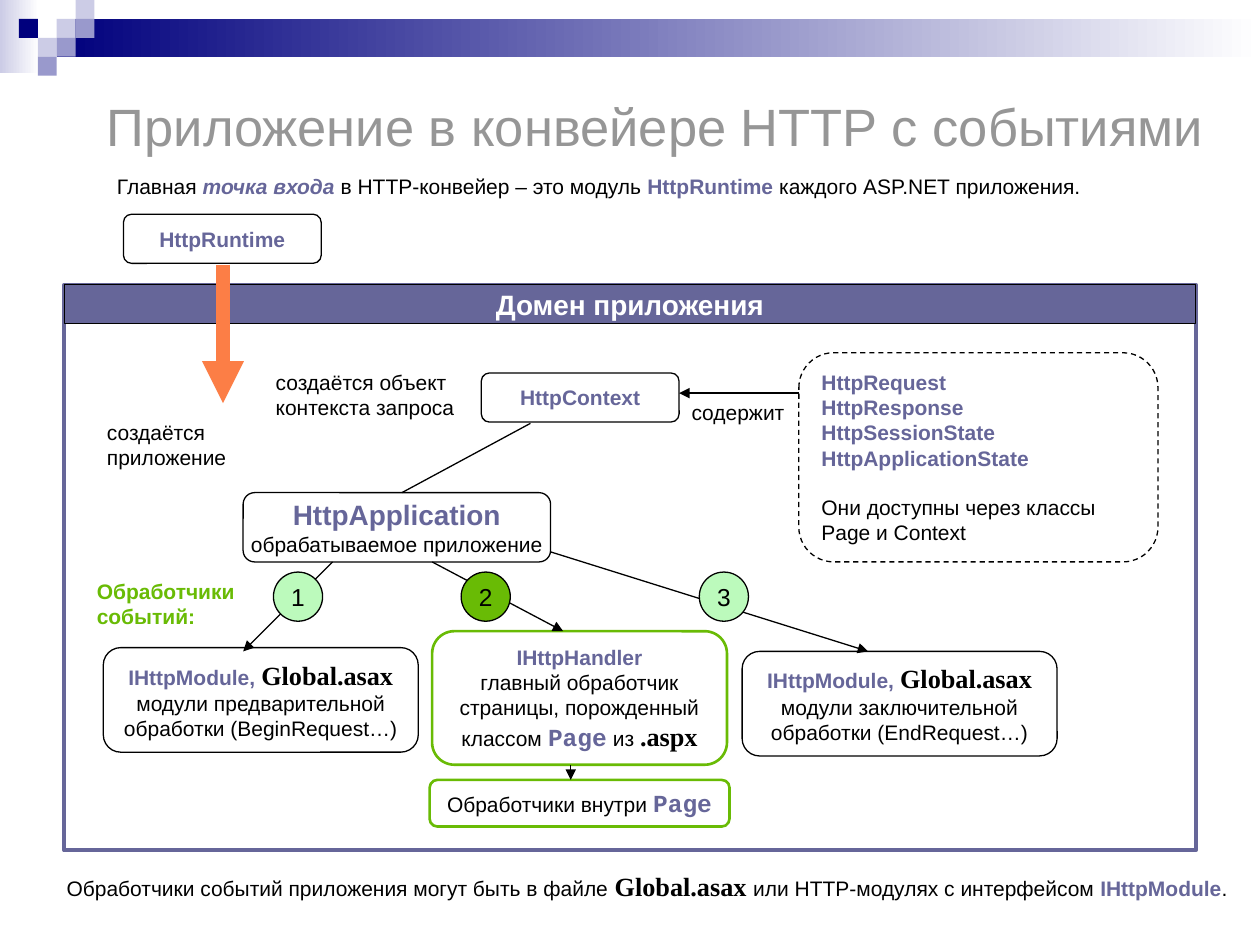
import pptx
import pptx.util
import pptx.dml.color
import pptx.enum.dml
import pptx.enum.shapes
import pptx.enum.text
import pptx.oxml.ns
from lxml import etree

Inches = pptx.util.Inches
Pt = pptx.util.Pt
RGB = pptx.dml.color.RGBColor.from_string
SHAPE = pptx.enum.shapes.MSO_SHAPE
ALIGN = pptx.enum.text.PP_ALIGN
ANCHOR = pptx.enum.text.MSO_ANCHOR

COLORS = {
    "black": "000000", "white": "FFFFFF", "gray": "969696", "slate": "666699",
    "green": "69BB05", "mint": "BCFABC", "orange": "FC7E46",
    "navy": "00007D", "lilac": "CCCCE6", "violet": "9999CC",
}

# Text styles: font, size, colour, bold, italic
STYLES = {
    "title": ("Arial", 30, "gray", False, False),
    "heading": ("Arial", 16, "white", True, False),
    "body": ("Arial", 12, "black", False, False),
    "name": ("Arial", 12, "slate", True, False),
    "term": ("Arial", 12, "slate", True, True),
    "big name": ("Arial", 16, "slate", True, False),
    "label": ("Arial", 12, "green", True, False),
    "file": ("Times New Roman", 15, "black", True, False),
    "code": ("Courier New", 14, "slate", True, False),
    "number": ("Arial", 14, "black", False, False),
}


def write(shape, paragraphs, align=ALIGN.LEFT, anchor=ANCHOR.TOP, wrap=True):
    """Fill a shape with paragraphs, each a list of (text, style) runs."""
    frame = shape.text_frame
    frame.word_wrap = wrap
    frame.vertical_anchor = anchor
    for index, spans in enumerate(paragraphs):
        para = frame.add_paragraph() if index else frame.paragraphs[0]
        para.alignment = align
        same_style = len({style for text, style in spans}) == 1
        for text, style in spans:
            span = para.add_run()
            span.text = text
            font = para.font if same_style else span.font
            face, size, color, bold, italic = STYLES[style]
            font.name, font.size = face, Pt(size)
            font.bold, font.italic = bold, italic
            font.color.rgb = RGB(COLORS[color])


def connect(start, end, color="black", width=0.75, arrow=True):
    line = page.shapes.add_connector(
        pptx.enum.shapes.MSO_CONNECTOR.STRAIGHT, *map(Inches, start + end))
    line.line.color.rgb = RGB(COLORS[color])
    line.line.width = Pt(width)
    if arrow:
        etree.SubElement(line.line._get_or_add_ln(),
                         pptx.oxml.ns.qn("a:tailEnd"), type="triangle")
    etree.SubElement(line._element.spPr, pptx.oxml.ns.qn("a:effectLst"))


deck = pptx.Presentation()
deck.slide_width, deck.slide_height = Inches(10), Inches(7.5)
page = deck.slides.add_slide(deck.slide_layouts[6])

# Gradient bands along the top
for place, color in [((0, 0, 0.31, 0.58), "lilac"), ((0.45, 0.15, 9.55, 0.3), "navy")]:
    band = page.shapes.add_shape(SHAPE.RECTANGLE, *map(Inches, place))
    band.shadow.inherit = False
    band.line.fill.background()
    band.fill.gradient()
    band.fill.gradient_angle = 0
    for stop, shade in zip(band.fill.gradient_stops, (color, "white")):
        stop.color.rgb = RGB(COLORS[shade])

# Corner squares on a 0.15 inch grid: column, row, colour
for column, row, color in [(3, 1, "lilac"), (4, 0, "lilac"), (4, 1, "violet"),
                           (2, 2, "lilac"), (1, 1, "navy"), (3, 2, "violet"),
                           (2, 3, "violet")]:
    square = page.shapes.add_shape(
        SHAPE.RECTANGLE, Inches(column * 0.15), Inches(row * 0.15),
        Inches(0.15), Inches(0.15))
    square.shadow.inherit = False
    square.fill.solid()
    square.fill.fore_color.rgb = RGB(COLORS[color])
    square.line.fill.background()

# Title
title = page.shapes.add_textbox(Inches(0.75), Inches(0.68), Inches(9.06), Inches(0.63))
write(title, [[("Приложение в конвейере HTTP с событиями", "title")]],
      anchor=ANCHOR.MIDDLE)

# Free text: place, runs, line spacing
notes = [
    ((0.83, 1.31, 9.06, 0.32), [
        ("Главная ", "body"), ("точка входа", "term"),
        (" в HTTP-конвейер – это модуль ", "body"), ("HttpRuntime", "name"),
        (" каждого ASP.NET приложения.", "body")], 1.1),
    ((2.09, 2.88, 1.73, 0.5), [("создаётся объект контекста запроса", "body")], 1),
    ((5.39, 3.12, 0.95, 0.3), [("содержит", "body")], 1),
    ((0.75, 3.28, 1.18, 0.5), [("создаётся приложение", "body")], 1),
    ((0.67, 4.54, 1.34, 0.5), [("Обработчики событий:", "label")], 1),
    ((0.43, 6.91, 9.45, 0.3), [
        ("Обработчики событий приложения могут быть в файле ", "body"),
        ("Global.asax ", "file"), ("или HTTP-модулях с интерфейсом ", "body"),
        ("IHttpModule", "name"), (".", "body")], 0.8),
]
for place, spans, spacing in notes:
    box = page.shapes.add_textbox(*map(Inches, place))
    write(box, [spans])
    box.text_frame.paragraphs[0].line_spacing = spacing

# Application domain frame and its header
for place, fill, color, width in [((0.51, 2.26, 8.98, 4.49), None, "slate", 2.25),
                                  ((0.51, 2.26, 8.98, 0.31), "slate", "black", 0.75)]:
    panel = page.shapes.add_shape(SHAPE.RECTANGLE, *map(Inches, place))
    panel.shadow.inherit = False
    panel.line.color.rgb = RGB(COLORS[color])
    panel.line.width = Pt(width)
    if fill:
        panel.fill.solid()
        panel.fill.fore_color.rgb = RGB(COLORS[fill])
        write(panel, [[("Домен приложения", "heading")]], ALIGN.CENTER,
              ANCHOR.MIDDLE, wrap=False)
    else:
        panel.fill.background()

# Rounded boxes: place, outline colour, outline width, wrap, paragraphs
module_heading = [("IHttpModule, ", "name"), ("Global.asax", "file")]
boxes = [
    ((0.98, 1.7, 1.57, 0.39), "black", 0.75, False, [[("HttpRuntime", "name")]]),
    ((3.82, 2.96, 1.57, 0.39), "black", 0.75, False, [[("HttpContext", "name")]]),
    ((1.93, 3.91, 2.44, 0.55), "black", 0.75, False, [
        [("HttpApplication", "big name")], [("обрабатываемое приложение", "body")]]),
    ((0.82, 5.14, 2.5, 0.83), "black", 0.75, True, [
        module_heading, [("модули предварительной обработки (BeginRequest…)", "body")]]),
    ((3.43, 5.01, 2.34, 1.06), "green", 1.5, True, [
        [("IHttpHandler", "name")],
        [("главный обработчик страницы, порожденный классом ", "body"),
         ("Page", "code"), (" из ", "body"), (".aspx", "file")]]),
    ((5.89, 5.17, 2.5, 0.83), "black", 0.75, True, [
        module_heading, [("модули заключительной обработки (EndRequest…)", "body")]]),
    ((3.41, 6.19, 2.38, 0.37), "green", 1.5, True, [
        [("Обработчики внутри ", "body"), ("Page", "code")]]),
    ((6.34, 2.8, 2.85, 1.66), "black", 0.75, True, [
        [("HttpRequest", "name")], [("HttpResponse", "name")],
        [("HttpSessionState", "name")], [("HttpApplicationState", "name")],
        [("Они доступны через классы Page и Context", "body")]]),
]
for place, color, width, wrap, paragraphs in boxes:
    box = page.shapes.add_shape(SHAPE.ROUNDED_RECTANGLE, *map(Inches, place))
    box.shadow.inherit = False
    box.fill.background()
    box.line.color.rgb = RGB(COLORS[color])
    box.line.width = Pt(width)
    write(box, paragraphs, ALIGN.CENTER, ANCHOR.MIDDLE, wrap)

# The last box lists the context's contents: dashed, left-aligned
box.line.dash_style = pptx.enum.dml.MSO_LINE.DASH
for para in box.text_frame.paragraphs:
    para.alignment = ALIGN.LEFT
para.space_before = Pt(14)

# Lines and arrows
connect((2.64, 4.46), (1.93, 5.17))
connect((3.43, 4.46), (4.47, 5.01))
connect((4.37, 4.38), (6.89, 5.17))
connect((6.34, 3.12), (5.39, 3.12))
connect((4.53, 6.07), (4.53, 6.19))
connect((4.21, 3.36), (3.19, 3.91), arrow=False)
connect((1.77, 2.1), (1.77, 3.2), "orange", 8)

# Numbered steps
for number, left, color in [("1", 2.17, "mint"), ("2", 3.66, "green"), ("3", 5.55, "mint")]:
    step = page.shapes.add_shape(SHAPE.OVAL, Inches(left), Inches(4.54),
                                 Inches(0.39), Inches(0.39))
    step.shadow.inherit = False
    step.fill.solid()
    step.fill.fore_color.rgb = RGB(COLORS[color])
    step.line.color.rgb = RGB(COLORS["black"])
    step.line.width = Pt(0.75)
    write(step, [[(number, "number")]], ALIGN.CENTER, ANCHOR.MIDDLE, wrap=False)

deck.save("out.pptx")
